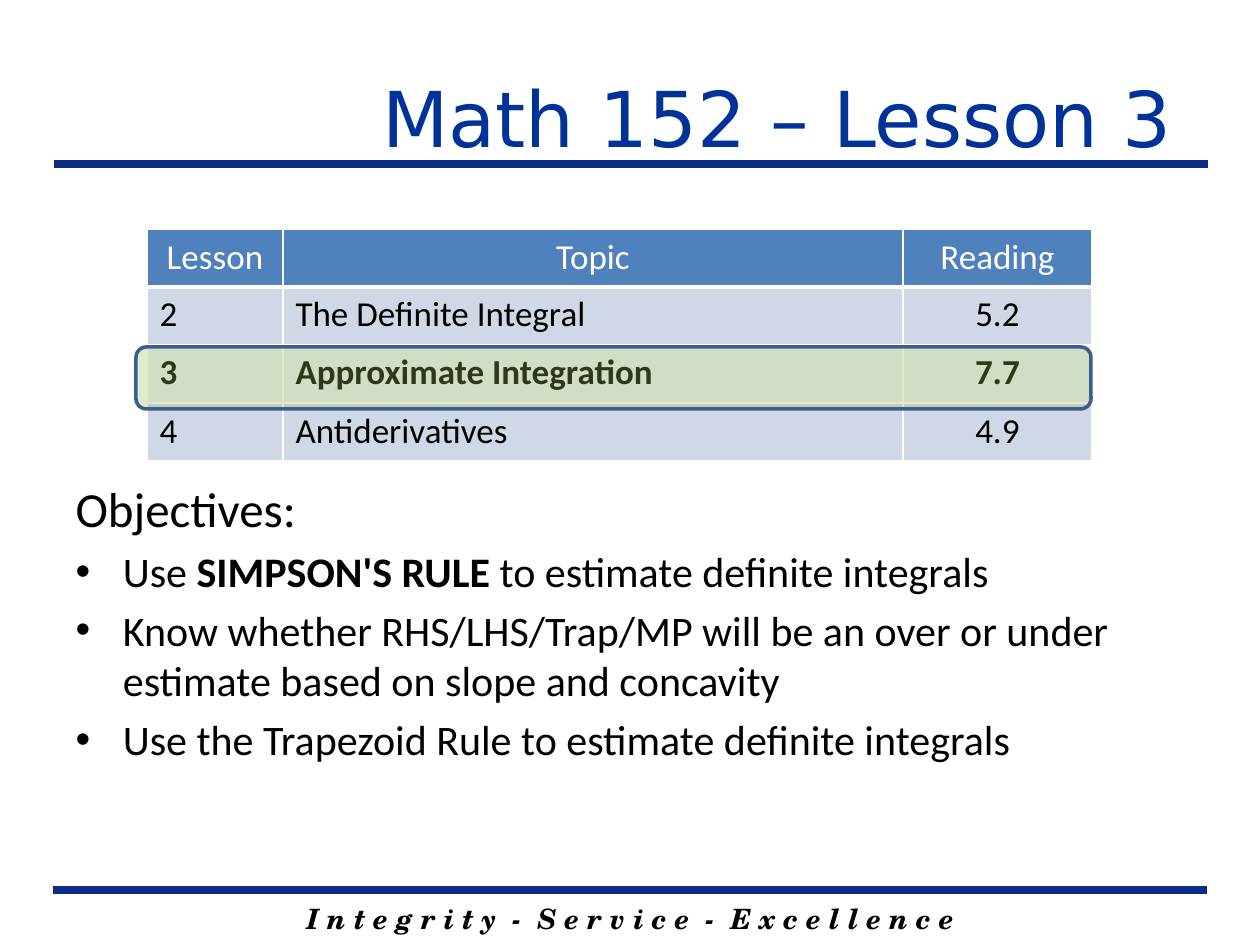
from lxml import etree
from pptx import Presentation
from pptx.dml.color import RGBColor
from pptx.enum.shapes import MSO_CONNECTOR, MSO_SHAPE
from pptx.enum.text import MSO_ANCHOR, MSO_AUTO_SIZE, PP_ALIGN
from pptx.oxml.ns import qn
from pptx.util import Emu, Pt

LEFT, CENTER, RIGHT = PP_ALIGN.LEFT, PP_ALIGN.CENTER, PP_ALIGN.RIGHT
TOP, MIDDLE = MSO_ANCHOR.TOP, MSO_ANCHOR.MIDDLE

TITLE = "Math 152 – Lesson 3"
MOTTO = "I n t e g r i t y  -  S e r v i c e  -  E x c e l l e n c e"
LESSONS = [
    ("Lesson", "Topic", "Reading"),
    ("2", "The Definite Integral", "5.2"),
    ("3", "Approximate Integration", "7.7"),
    ("4", "Antiderivatives", "4.9"),
]
CURRENT_ROW = 2
ROW_FILLS = ["4F81BD", "D0D8E8", "E9EDF4", "D0D8E8"]
ROW_ANCHORS = [MIDDLE, TOP, TOP, MIDDLE]
COLUMN_WIDTHS = [136, 620, 189]
ROW_HEIGHT = 58
OBJECTIVES_HEADING = "Objectives:"
# Each objective is a list of (words, bold) runs.
OBJECTIVES = [
    [("Use ", False), ("SIMPSON'S RULE ", True),
     ("to estimate definite integrals", False)],
    [("Know whether RHS/LHS/Trap/MP will be an over or under "
      "estimate based on slope and concavity", False)],
    [("Use the Trapezoid Rule to estimate definite integrals", False)],
]
RULES = [(53, 890), (54, 164)]  # left end and height of each rule
RULE_LENGTH = 1154


def px(n):
    return Emu(round(n * 914400 / 126))


def box(*lengths):
    return [px(n) for n in lengths]


def rgb(value):
    return RGBColor.from_string(value)


def add_run(paragraph, words, size, color="000000", face="Calibri",
            bold=False, italic=False):
    run = paragraph.add_run()
    run.text = words
    font = run.font
    font.name, font.size, font.bold, font.italic = face, Pt(size), bold, italic
    font.color.rgb = rgb(color)


def place(placeholder, left, top, width, height):
    placeholder.left, placeholder.top = px(left), px(top)
    placeholder.width, placeholder.height = px(width), px(height)
    placeholder.text_frame.auto_size = MSO_AUTO_SIZE.NONE


def set_borders(cell, widths):
    """Draw white borders; widths maps a side's tag to points."""
    properties = cell._tc.get_or_add_tcPr()
    for position, (side, width) in enumerate(widths.items()):
        line = etree.Element(qn("a:" + side), w=str(Pt(width)))
        fill = etree.SubElement(line, qn("a:solidFill"))
        etree.SubElement(fill, qn("a:srgbClr"), val="FFFFFF")
        properties.insert(position, line)


def add_rules(slide):
    for left, y in RULES:
        rule = slide.shapes.add_connector(
            MSO_CONNECTOR.STRAIGHT, *box(left, y, left + RULE_LENGTH, y))
        rule.line.color.rgb = rgb("0C2D83")
        rule.line.width = Pt(4.5)
        etree.SubElement(rule._element.spPr, qn("a:effectLst"))


def add_motto(slide):
    frame = slide.shapes.add_textbox(*box(179, 895, 903, 46)).text_frame
    frame.word_wrap = True
    paragraph = frame.paragraphs[0]
    paragraph.alignment = CENTER
    add_run(paragraph, MOTTO, 16, face="TeX Gyre Schola", bold=True, italic=True)


def fill_title(slide):
    title = slide.shapes.title
    place(title, 227, 38, 983, 158)
    frame = title.text_frame
    frame.margin_right = px(37)
    frame.vertical_anchor = MIDDLE
    frame.paragraphs[0].alignment = RIGHT
    add_run(frame.paragraphs[0], TITLE, 44, "003399", "DejaVu Sans")


def fill_objectives(slide):
    body = slide.placeholders[1]
    place(body, 63, 472, 1134, 372)
    frame = body.text_frame
    heading = frame.paragraphs[0]
    properties = heading._p.get_or_add_pPr()
    properties.set("marL", "0")
    properties.set("indent", "0")
    etree.SubElement(properties, qn("a:buNone"))
    heading.space_before = Pt(0)
    add_run(heading, OBJECTIVES_HEADING, 28)
    for objective in OBJECTIVES:
        paragraph = frame.add_paragraph()
        for words, bold in objective:
            add_run(paragraph, words, 24, bold=bold)


def add_lessons(slide):
    table = slide.shapes.add_table(
        len(LESSONS), len(COLUMN_WIDTHS),
        *box(147, 229, sum(COLUMN_WIDTHS), ROW_HEIGHT * len(LESSONS))).table
    for column, width in zip(table.columns, COLUMN_WIDTHS):
        column.width = px(width)
    for r, lesson in enumerate(LESSONS):
        table.rows[r].height = px(ROW_HEIGHT)
        borders = {"lnL": 1, "lnR": 1, "lnT": 3 if r == 1 else 1,
                   "lnB": 3 if r == 0 else 1}
        for c, words in enumerate(lesson):
            cell = table.cell(r, c)
            cell.fill.solid()
            cell.fill.fore_color.rgb = rgb(ROW_FILLS[r])
            cell.vertical_anchor = ROW_ANCHORS[r]
            set_borders(cell, borders)
            paragraph = cell.text_frame.paragraphs[0]
            paragraph.alignment = CENTER if r == 0 or c == 2 else LEFT
            add_run(paragraph, words, 20, "FFFFFF" if r == 0 else "000000",
                    bold=r == CURRENT_ROW)


def add_highlight(slide):
    highlight = slide.shapes.add_shape(
        MSO_SHAPE.ROUNDED_RECTANGLE, *box(136, 347, 955, 62))
    highlight.shadow.inherit = False
    highlight.fill.solid()
    highlight.fill.fore_color.rgb = rgb("9BBB59")
    color = highlight._element.spPr.find(qn("a:solidFill"))[0]
    etree.SubElement(color, qn("a:alpha"), val="30000")
    highlight.line.color.rgb = rgb("3A5F8C")
    highlight.line.width = Pt(2)


def main():
    deck = Presentation()
    deck.slide_width, deck.slide_height = box(1260, 945)
    slide = deck.slides.add_slide(deck.slide_layouts[1])
    add_motto(slide)
    add_rules(slide)
    fill_title(slide)
    fill_objectives(slide)
    add_lessons(slide)
    add_highlight(slide)
    deck.save("out.pptx")


if __name__ == "__main__":
    main()
